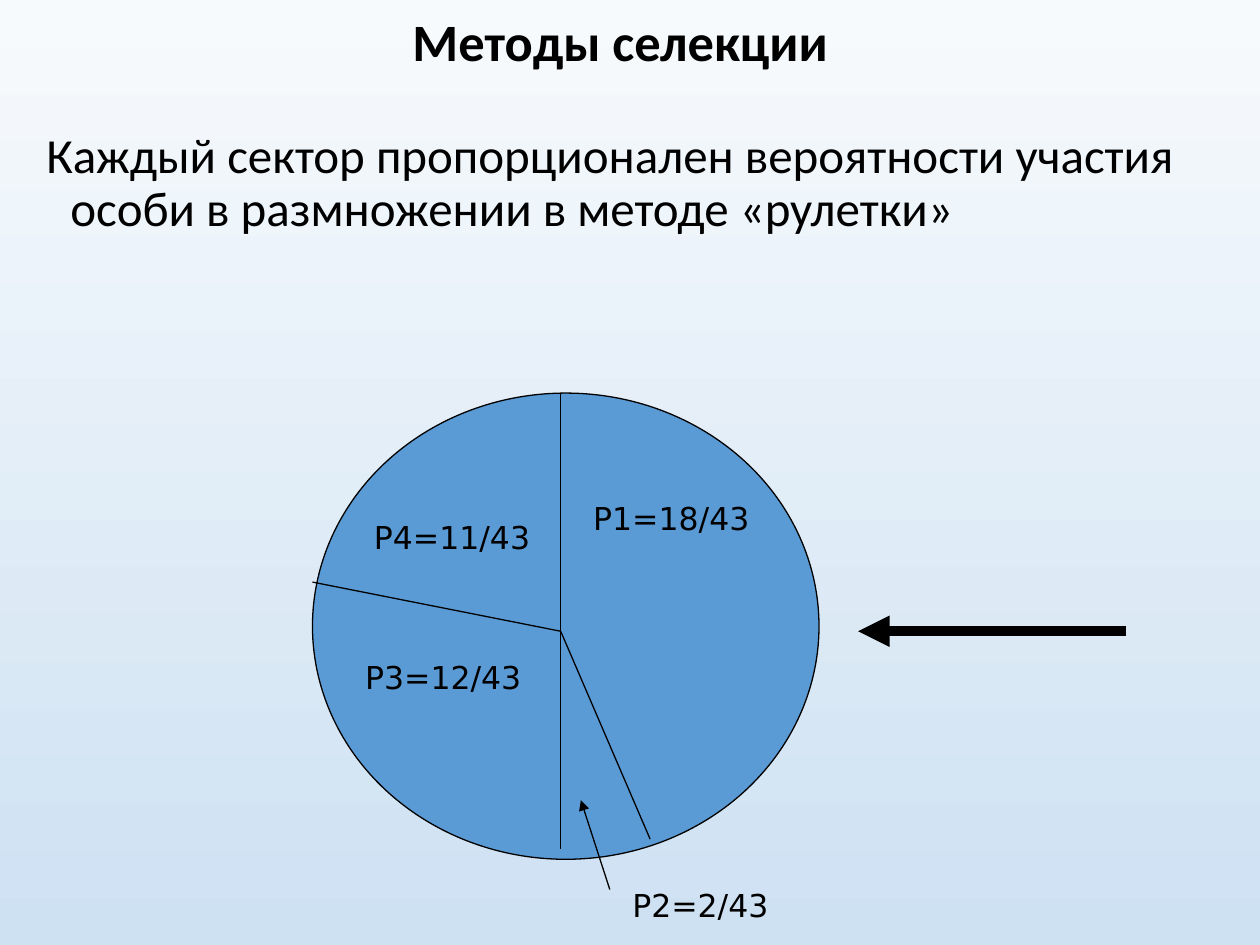
from lxml import etree
from pptx import Presentation
from pptx.dml.color import RGBColor
from pptx.enum.shapes import MSO_CONNECTOR, MSO_SHAPE
from pptx.enum.text import MSO_ANCHOR, PP_ALIGN
from pptx.oxml.ns import qn
from pptx.util import Inches, Pt

OVAL = MSO_SHAPE.OVAL
STRAIGHT = MSO_CONNECTOR.STRAIGHT
TOP, MIDDLE = MSO_ANCHOR.TOP, MSO_ANCHOR.MIDDLE
LEFT, CENTER = PP_ALIGN.LEFT, PP_ALIGN.CENTER

color = RGBColor.from_string
BLACK = color("000000")

deck = Presentation()
deck.slide_width, deck.slide_height = Inches(10), Inches(7.5)
page = deck.slides.add_slide(deck.slide_layouts[6])


def add_text(text, place, font, para_format, anchor=TOP):
    box = page.shapes.add_textbox(*map(Inches, place))
    box.text_frame.word_wrap = True
    box.text_frame.vertical_anchor = anchor
    para = box.text_frame.paragraphs[0]
    for name, value in para_format.items():
        setattr(para, name, value)
    span = para.add_run()
    span.text = text
    for name, value in font.items():
        setattr(span.font, name, value)
    span.font.color.rgb = BLACK
    return para


def add_line(start, end, width=0.75, arrow=False):
    line = page.shapes.add_connector(STRAIGHT, *map(Inches, start + end))
    line.line.color.rgb = BLACK
    line.line.width = Pt(width)
    if arrow:
        outline = line.line._get_or_add_ln()
        etree.SubElement(outline, qn("a:tailEnd"), type="triangle")
    etree.SubElement(line._element.spPr, qn("a:effectLst"))


# Background, light at the top
background = page.background.fill
background.gradient()
background.gradient_angle = 270
for stop, shade in zip(background.gradient_stops, ("F7FAFD", "CEE1F2")):
    stop.color.rgb = color(shade)

# Title and statement
add_text("Методы селекции ", (0.66, 0.09, 8.62, 0.52),
         {"name": "Calibri", "size": Pt(30), "bold": True},
         {"alignment": CENTER, "line_spacing": 0.9}, MIDDLE)
statement = add_text(
    "Каждый сектор пропорционален вероятности участия особи "
    "в размножении в методе «рулетки»", (0.27, 0.99, 9.45, 6.51),
    {"name": "Calibri", "size": Pt(28)},
    {"alignment": LEFT, "line_spacing": 0.9, "space_before": Pt(7.5)})
hanging = statement._p.get_or_add_pPr()
hanging.set("marL", str(Inches(0.19)))
hanging.set("indent", str(-Inches(0.19)))

# Roulette wheel and its sector borders
wheel = page.shapes.add_shape(OVAL, *map(Inches, (2.48, 3.12, 4.02, 3.7)))
wheel.shadow.inherit = False
wheel.fill.solid()
wheel.fill.fore_color.rgb = color("5B9BD5")
wheel.line.color.rgb = BLACK
wheel.line.width = Pt(0.75)

hub = (4.45, 5.01)
for rim in ((4.45, 3.12), (5.16, 6.66), (4.45, 6.74), (2.48, 4.62)):
    add_line(hub, rim)

# Sector probabilities
for label, left, top, width in (
    ("Р1=18/43", 4.61, 3.91, 1.65),
    ("Р2=2/43", 4.92, 6.98, 1.65),
    ("Р3=12/43", 2.8, 5.17, 1.5),
    ("Р4=11/43", 2.87, 4.06, 1.5),
):
    add_text(label, (left, top, width, 0.4),
             {"name": "DejaVu Sans", "size": Pt(18)},
             {"alignment": LEFT, "space_before": Pt(11.2)})

# Arrow to the small sector and the roulette pointer
add_line((4.84, 7.06), (4.61, 6.35), arrow=True)
add_line((8.94, 5.01), (6.81, 5.01), width=6, arrow=True)

deck.save("out.pptx")
